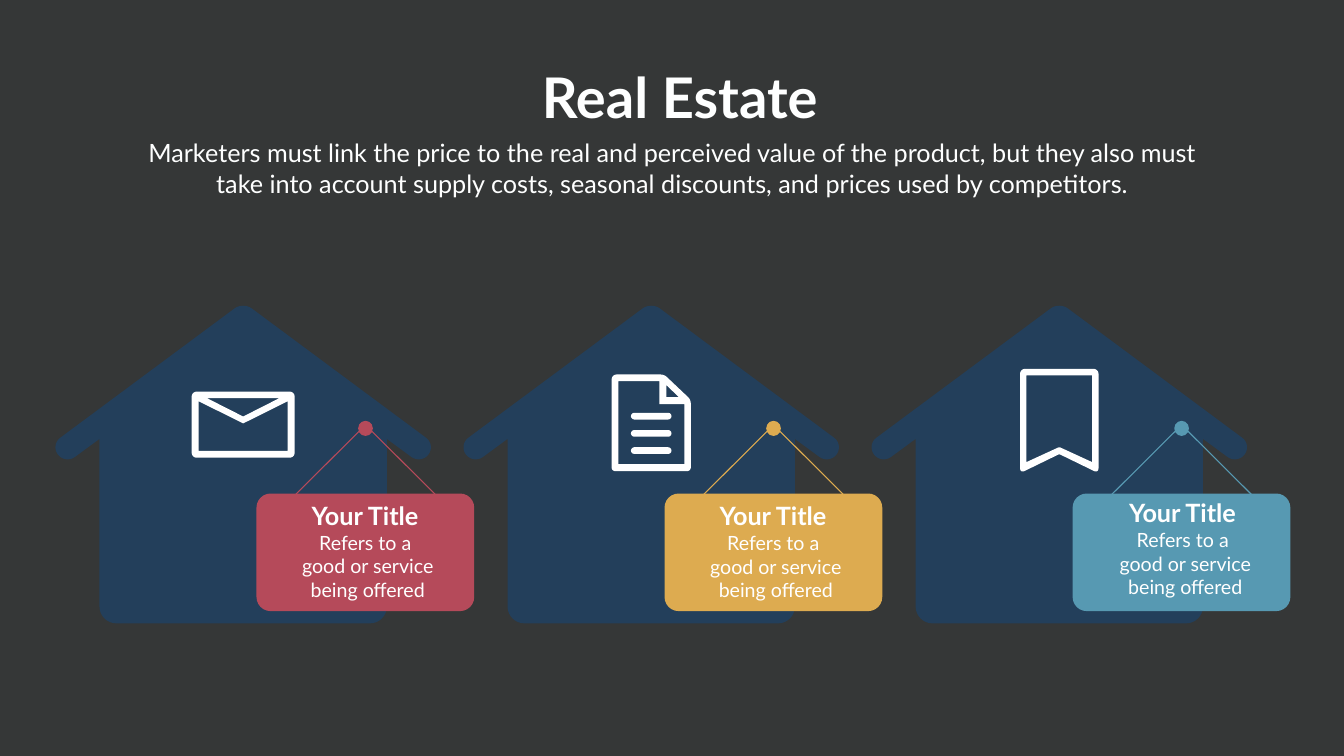
from math import hypot

from lxml import etree
from pptx import Presentation
from pptx.dml.color import RGBColor
from pptx.enum import shapes as s, text as t
from pptx.oxml.ns import qn
from pptx.util import Pt

FONT = "Lato"
WHITE, NAVY, BACKGROUND = "FFFFFF", "233F5B", "353737"
HOUSE_PITCH, HOUSE_LEFT, HOUSE_TOP, HOUSE_WIDTH = 582.8, 77.3, 434, 540
CORNER_STEPS = 8

# Outlines are lists of (x, y) or (x, y, corner cut) in points.
HALF_HOUSE = [(270, -2.5, 15), (-5, 201.6, 17), (15.8, 229, 17),
              (64.8, 193), (64.8, 456.5, 24)]
HOUSE = HALF_HOUSE + [(HOUSE_WIDTH - x, *rest)
                      for x, *rest in reversed(HALF_HOUSE[1:])]

# Icons are measured from their top centre: the outer edge, then the holes.
ENVELOPE = [
    [(-73.5, 0, 7), (73.5, 0, 7), (73.5, 94.3, 7), (-73.5, 94.3, 7)],
    [(-51.5, 9.4), (0, 35.5), (51.5, 9.4)],
    [(-63.5, 13.7), (-63.5, 84.5), (63.5, 84.5), (63.5, 13.7), (0, 45.4)],
]
DOCUMENT = [
    [(-56.5, 0, 7), (18.5, 0, 5), (56.5, 36, 5), (56.5, 138, 5), (-56.5, 138, 5)],
    [(21.5, 15), (21.5, 32.4), (39.5, 32.4)],
    [(-47, 9.4), (-47, 128), (47.5, 128), (47.5, 42.5), (11.5, 42.5), (11.5, 9.4)],
]
BOOKMARK = [
    [(-56, 0, 7), (56, 0, 7), (56, 149, 7), (0, 121.7, 2), (-56, 149, 7)],
    [(-47, 9.4), (-47, 133.2), (0, 111.6, 2), (47, 133.2), (47, 9.4)],
]

# Accent colour, icon, icon top, shift of the card text
HOUSES = [
    ("B54A5A", ENVELOPE, 559.5, (0, 0)),
    ("DDAB50", DOCUMENT, 535, (0, 1)),
    ("5799B2", BOOKMARK, 527, (2, -3.5)),
]


def color(hex_value):
    return RGBColor.from_string(hex_value)


def paint(shape, fill):
    shape.shadow.inherit = False
    shape.fill.solid()
    shape.fill.fore_color.rgb = color(fill)
    shape.line.fill.background()


def rounded(outline):
    """Return the outline's points with each cut corner turned into an arc."""
    points = []
    for i, (x, y, *cut) in enumerate(outline):
        if not cut:
            points.append((x, y))
            continue
        ends = []
        for nx, ny, *_ in (outline[i - 1], outline[(i + 1) % len(outline)]):
            share = cut[0] / hypot(nx - x, ny - y)
            ends.append((x + (nx - x) * share, y + (ny - y) * share))
        (ax, ay), (bx, by) = ends
        for step in range(CORNER_STEPS + 1):
            k = step / CORNER_STEPS
            # Cubic arc whose handles reach 0.55 of the way to the corner
            a = (1 - k) ** 3 + 1.35 * k * (1 - k) ** 2
            b = k ** 3 + 1.35 * k ** 2 * (1 - k)
            c = 1 - a - b
            points.append((a * ax + b * bx + c * x, a * ay + b * by + c * y))
    return points


def add_outline(slide, left, top, loops, fill):
    builder = None
    for loop in loops:
        points = [(Pt(left + x), Pt(top + y)) for x, y in rounded(loop)]
        if builder is None:
            builder = slide.shapes.build_freeform(*points[0])
        else:
            builder.move_to(*points[0])
        builder.add_line_segments(points[1:], close=True)
    paint(builder.convert_to_shape(), fill)


def add_preset(slide, kind, left, top, width, height, fill):
    shape = slide.shapes.add_shape(kind, Pt(left), Pt(top), Pt(width), Pt(height))
    paint(shape, fill)
    return shape


def add_string(slide, left, top, accent):
    """Draw the string on which a card hangs."""
    builder = slide.shapes.build_freeform(Pt(left), Pt(top + 118))
    builder.add_line_segments([(Pt(left + 118.5), Pt(top)),
                               (Pt(left + 237), Pt(top + 118))], close=False)
    string = builder.convert_to_shape()
    string.shadow.inherit = False
    string.fill.background()
    string.line.color.rgb = color(accent)
    string.line.width = Pt(1.56)


def remove_bullet(paragraph):
    properties = paragraph._p.get_or_add_pPr()
    properties.set("marL", "0")
    properties.set("indent", "0")
    etree.SubElement(properties, qn("a:buNone"))


def write(box, lines, size, bold=False, align=t.PP_ALIGN.CENTER, ink=WHITE):
    frame = box.text_frame
    frame.word_wrap = True
    frame.auto_size = t.MSO_AUTO_SIZE.NONE
    frame.vertical_anchor = t.MSO_ANCHOR.TOP
    frame.text = "\n".join(lines)
    for paragraph in frame.paragraphs:
        paragraph.alignment = align
        paragraph.space_before = Pt(0)
        if box.is_placeholder:
            remove_bullet(paragraph)
        font = paragraph.font
        font.name, font.size, font.bold = FONT, Pt(size), bold
        font.color.rgb = color(ink)


def add_text(slide, left, top, width, height, lines, size, **style):
    box = slide.shapes.add_textbox(Pt(left), Pt(top), Pt(width), Pt(height))
    write(box, lines, size, **style)


def fill_placeholder(holder, left, top, width, height, content, size, bold=False):
    holder.left, holder.top = Pt(left), Pt(top)
    holder.width, holder.height = Pt(width), Pt(height)
    write(holder, [content], size, bold, ink="FEFFFF")


def add_house(slide, left, accent, icon, icon_top, text_shift):
    center = left + HOUSE_WIDTH / 2
    add_outline(slide, left, HOUSE_TOP, [HOUSE], NAVY)

    # Hanging card with its string and pin
    add_string(slide, left + 326.2, 607, accent)
    card = add_preset(slide, s.MSO_SHAPE.ROUNDED_RECTANGLE,
                      left + 289, 705, 311, 168, accent)
    card.adjustments[0] = 0.12
    add_preset(slide, s.MSO_SHAPE.OVAL, left + 434.2, 601.2, 21, 21.6, accent)

    # Icon
    add_outline(slide, center, icon_top, icon, WHITE)
    if icon is DOCUMENT:
        for row in range(3):
            bar = add_preset(slide, s.MSO_SHAPE.ROUNDED_RECTANGLE, center - 29,
                             icon_top + 54.7 + row * 24.6, 58, 9.6, WHITE)
            bar.adjustments[0] = 0.5

    # Card text
    dx, dy = text_shift
    add_text(slide, left + 360.5 + dx, 710.6 + dy, 174.2, 36.7, ["Your Title"],
             36, bold=True, align=t.PP_ALIGN.LEFT)
    add_text(slide, left + 343.9 + dx, 754.5 + dy, 208, 105,
             ["Refers to a ", "good or service ", "being offered"], 28)


def main():
    deck = Presentation()
    deck.slide_width, deck.slide_height = Pt(1919.5), Pt(1080)
    slide = deck.slides.add_slide(deck.slide_layouts[1])
    slide.background.fill.solid()
    slide.background.fill.fore_color.rgb = color(BACKGROUND)

    # Heading
    fill_placeholder(slide.shapes.title, 759.6, 85.7, 422.6, 104.4,
                     "Real Estate", 80, bold=True)
    fill_placeholder(
        slide.placeholders[1], 193, 193, 1533.6, 94.3,
        "Marketers must link the price to the real and perceived value of the "
        "product, but they also must take into account supply costs, seasonal "
        "discounts, and prices used by competitors.", 36)

    # Row of houses
    for index, house in enumerate(HOUSES):
        add_house(slide, HOUSE_LEFT + index * HOUSE_PITCH, *house)

    deck.save("out.pptx")


if __name__ == "__main__":
    main()
